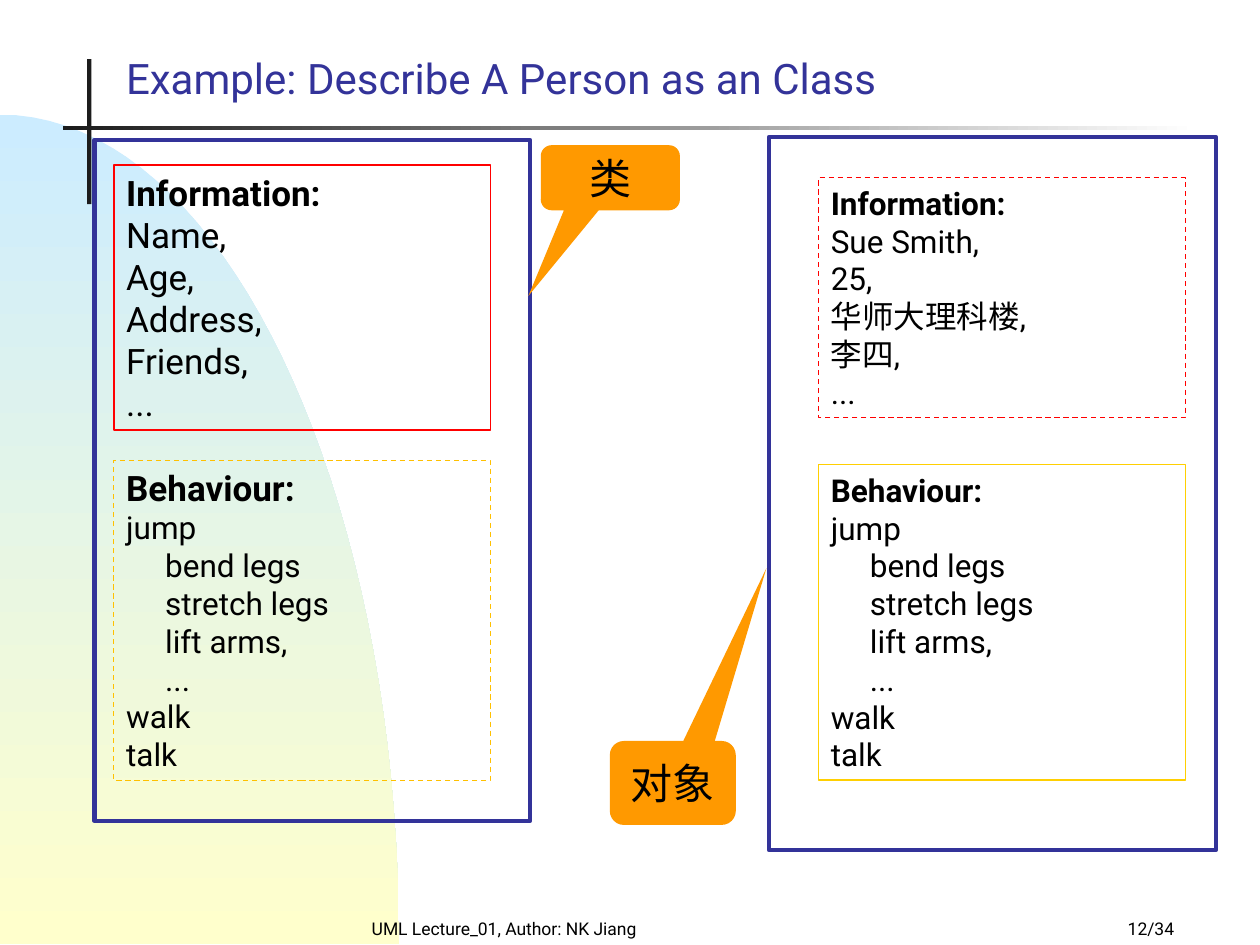
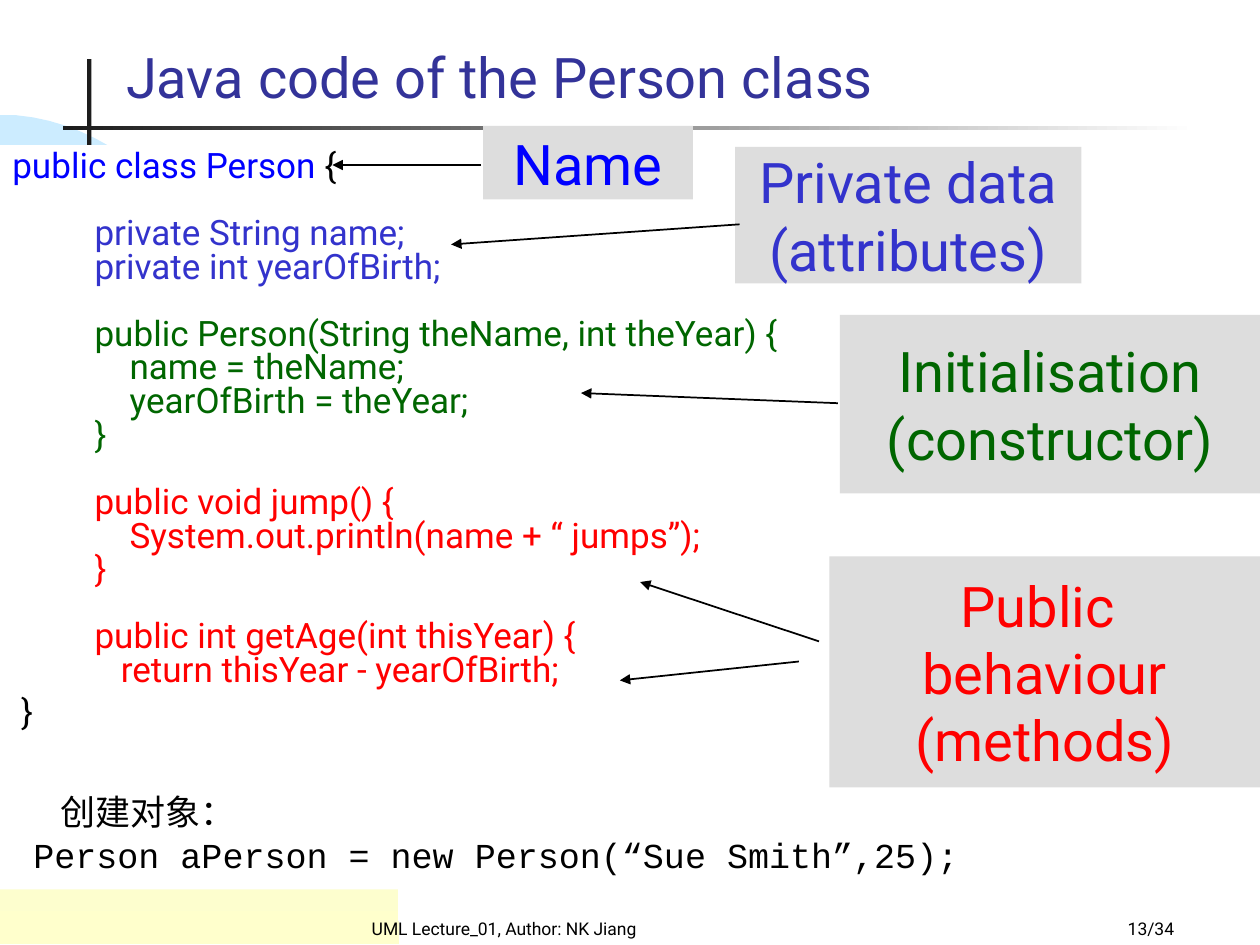
from lxml import etree
from pptx import Presentation
from pptx.dml.color import RGBColor
from pptx.enum.dml import MSO_LINE
from pptx.enum.shapes import MSO_CONNECTOR, MSO_SHAPE
from pptx.enum.text import MSO_ANCHOR, PP_ALIGN
from pptx.oxml.ns import qn
from pptx.util import Pt

RECT, CALLOUT = MSO_SHAPE.RECTANGLE, MSO_SHAPE.ROUNDED_RECTANGULAR_CALLOUT
STRAIGHT, DASH = MSO_CONNECTOR.STRAIGHT, MSO_LINE.DASH
LEFT, CENTER, RIGHT = PP_ALIGN.LEFT, PP_ALIGN.CENTER, PP_ALIGN.RIGHT
TOP, MIDDLE, BOTTOM = MSO_ANCHOR.TOP, MSO_ANCHOR.MIDDLE, MSO_ANCHOR.BOTTOM

COLORS = {
    "sky": "CCECFF", "cream": "FFFFCC", "ink": "1C1C1C", "white": "FFFFFF",
    "black": "000000", "navy": "333399", "red": "FF0000", "amber": "FFC000",
    "yellow": "FFCF01", "orange": "FF9900", "gray": "DDDDDD",
    "blue": "0000FF", "indigo": "3333CC", "green": "006600",
}
FONT, MONO = "Roboto", "Courier New"
TOTAL_PAGES = 34


def rgb(name):
    return RGBColor.from_string(COLORS[name])


class Deck:
    """Holds the style and the slide being built."""

    def __init__(self):
        self.prs = Presentation()
        self.prs.slide_width, self.prs.slide_height = Pt(720), Pt(540)
        self.slide = None

    def start(self, title, size, box, page):
        self.slide = self.prs.slides.add_slide(self.prs.slide_layouts[5])
        holder = self.slide.shapes.title
        holder.left, holder.top, holder.width, holder.height = map(Pt, box)
        self.set_lines(holder.text_frame, [title], size, "navy", LEFT, BOTTOM)
        self.footer("UML Lecture_01, Author: NK Jiang", 174, 228, CENTER)
        self.footer(f"{page}/{TOTAL_PAGES}", 528, 150, RIGHT)

    def set_lines(self, frame, lines, size, color="black", align=LEFT, anchor=TOP, wrap=True):
        frame.word_wrap = wrap
        frame.vertical_anchor = anchor
        for i, line in enumerate(lines):
            para = frame.paragraphs[0] if i == 0 else frame.add_paragraph()
            para.text = line
            para.alignment = align
            self.style(para.font, size, color)
        return frame.paragraphs

    def style(self, font, size, color, name=FONT):
        font.name, font.size = name, Pt(size)
        font.color.rgb = rgb(color)

    def indent(self, para, points):
        props = para._p.get_or_add_pPr()
        props.set("marL", str(Pt(points)))
        props.set("indent", "0")

    def footer(self, text, left, width, align):
        box = self.slide.shapes.add_textbox(Pt(left), Pt(516), Pt(width), Pt(24))
        self.set_lines(box.text_frame, [text], 10, align=align, anchor=BOTTOM)

    def shape(self, box, fill=None, line=None, weight=0.75, dash=None, kind=RECT):
        shape = self.slide.shapes.add_shape(kind, *map(Pt, box))
        shape.shadow.inherit = False
        if fill:
            shape.fill.solid()
            shape.fill.fore_color.rgb = rgb(fill)
        else:
            shape.fill.background()
        if line:
            shape.line.color.rgb = rgb(line)
            shape.line.width = Pt(weight)
            shape.line.dash_style = dash
        else:
            shape.line.fill.background()
        return shape

    def gradient(self, shape, first, last, angle):
        shape.fill.gradient()
        shape.fill.gradient_angle = angle
        for stop, color in zip(shape.fill.gradient_stops, (first, last)):
            stop.color.rgb = rgb(color)

    def backdrop(self):
        """Draw the shared decoration and move it behind the master's placeholders."""
        # Quarter dome along one cubic curve
        ends = [(0, 65.5), (126, 65.5), (228, 278), (228, 539.5)]
        curve = []
        for step in range(1, 41):
            t = step / 40
            weights = ((1 - t) ** 3, 3 * t * (1 - t) ** 2, 3 * t * t * (1 - t), t ** 3)
            curve.append(tuple(Pt(sum(w * p[axis] for w, p in zip(weights, ends)))
                               for axis in (0, 1)))
        builder = self.slide.shapes.build_freeform(Pt(0), Pt(65.5))
        builder.add_line_segments(curve + [(Pt(0), Pt(539.5))], close=True)
        dome = builder.convert_to_shape()
        dome.shadow.inherit = False
        dome.line.fill.background()
        self.gradient(dome, "sky", "cream", 270)
        # Crossing bars beside and below the title
        upright = self.shape((49.75, 33.75, 2.5, 83), fill="ink")
        rule = self.shape((36, 72, 648, 2.25))
        self.gradient(rule, "ink", "white", 0)
        tree = self.prs.slide_master.element.cSld.spTree
        for place, part in enumerate((dome, upright, rule), start=2):
            tree.insert(place, part.element)

    def panel(self, box, lines, sizes, line, weight=0.75, dash=None):
        """Outlined list: bold heading, then items; a leading tab marks an indented one."""
        frame = self.shape(box, None, line, weight, dash).text_frame
        paras = self.set_lines(frame, [text.strip() for text in lines], sizes[1])
        paras[0].font.bold = True
        paras[0].font.size = Pt(sizes[0])
        for para, text in zip(paras, lines):
            if text.startswith("\t"):
                self.indent(para, 22.3)

    def callout(self, box, text, pointer):
        bubble = self.shape(box, "orange", kind=CALLOUT)
        bubble.adjustments[0], bubble.adjustments[1] = pointer
        self.set_lines(bubble.text_frame, [text], 24, align=CENTER, anchor=MIDDLE)

    def label(self, box, lines, color):
        frame = self.shape(box, "gray").text_frame
        self.set_lines(frame, lines, 32, color, CENTER, MIDDLE, wrap=False)

    def arrow(self, *ends):
        line = self.slide.shapes.add_connector(STRAIGHT, *map(Pt, ends))
        line.line.color.rgb = rgb("black")
        line.line.width = Pt(1)
        props = line.element.spPr
        etree.SubElement(props.get_or_add_ln(), qn("a:tailEnd"), type="triangle")
        etree.SubElement(props, qn("a:effectLst"))

    def code(self, box, lines):
        """Each line: indent, space before, font, then (text, colour) runs."""
        frame = self.shape(box, "white").text_frame
        paras = self.set_lines(frame, [""] * len(lines), 20)
        for para, (indent, before, font, *runs) in zip(paras, lines):
            para.line_spacing = 0.8
            para.space_before = Pt(before)
            self.indent(para, indent)
            for text, color in runs:
                run = para.add_run()
                run.text = text
                self.style(run.font, 20, color, font)


deck = Deck()

# Slide 1: the class on the left, one object of it on the right
deck.start("Example: Describe A Person as an Class", 24, (64.8, 26, 487.5, 36.7), 12)
deck.backdrop()
behaviour = ["Behaviour:", "jump", "\tbend legs", "\tstretch legs", "\tlift arms,",
             "\t...", "walk", "talk"]

deck.shape((54, 80, 249, 389), line="navy", weight=2.5)
deck.panel((65, 94.3, 215.3, 151.5),
           ["Information:", "Name,", "Age,", "Address,", "Friends,", "..."],
           (20, 20), "red", 1)
deck.panel((65, 263, 215.3, 183), behaviour, (20, 18), "amber", dash=DASH)

deck.shape((439.5, 78.3, 255.3, 407.5), line="navy", weight=2.5)
deck.panel((467.7, 101.5, 209.7, 137),
           ["Information:", "Sue Smith,", "25,", "华师大理科楼,", "李四,", "..."],
           (18, 18), "red", dash=DASH)
deck.panel((467.7, 265.5, 209.7, 180.3), behaviour, (18, 18), "yellow")

deck.callout((309, 83, 79.5, 37.2), "类", (-0.589, 1.816))
deck.callout((348.5, 423.4, 72, 48), "对象", (0.743, -2.558))

# Slide 2: code with its parts labelled
deck.start("Java code of the Person class", 32, (64.8, 15, 548.6, 51.2), 13)
LINE = 19.2                       # height of one code line, used as a gap
MEMBER, BODY = 47, 67             # indents of class members and their bodies
deck.code((0, 83, 609, 425.3), [
    (0, 5, FONT, ("public class Person", "blue"), (" {", "black")),
    (MEMBER, LINE, FONT, ("private String name;", "indigo")),
    (MEMBER, 0, FONT, ("private int yearOfBirth;", "indigo")),
    (MEMBER, LINE, FONT, ("public Person(String theName, int theYear) {", "green")),
    (BODY, 0, FONT, ("name = theName;", "green")),
    (BODY, 0, FONT, ("yearOfBirth = theYear;", "green")),
    (MEMBER, 0, FONT, ("}", "green")),
    (MEMBER, LINE, FONT, ("public void jump() {", "red")),
    (BODY, 0, FONT, ("System.out.println(name + “ jumps”);", "red")),
    (MEMBER, 0, FONT, ("}", "red")),
    (MEMBER, LINE, FONT, ("public int getAge(int thisYear) {", "red")),
    (62, 0, FONT, ("return thisYear - yearOfBirth;", "red")),
    (5, 5, FONT, ("}", "black")),
    (27.4, 2 * LINE, MONO, ("创建对象：", "black")),
    (12, 5, MONO, ("Person aPerson = new Person(“Sue Smith”,25);", "black")),
])

deck.label((474, 318, 246, 132), ["Public ", "behaviour", "(methods)"], "red")
deck.label((480, 180, 240, 102), ["Initialisation", "(constructor)"], "green")
deck.label((276, 72, 120, 42), ["Name"], "blue")
deck.label((420, 84, 198, 78), ["Private data", "(attributes)"], "indigo")

for ends in [(275, 94.3, 190, 94.3), (478.8, 230.4, 332, 224.6),
             (422.6, 128.2, 257.8, 139.7), (468, 366.5, 365.8, 332.6),
             (456.5, 378, 354.2, 388.8)]:
    deck.arrow(*ends)

deck.prs.save("out.pptx")
